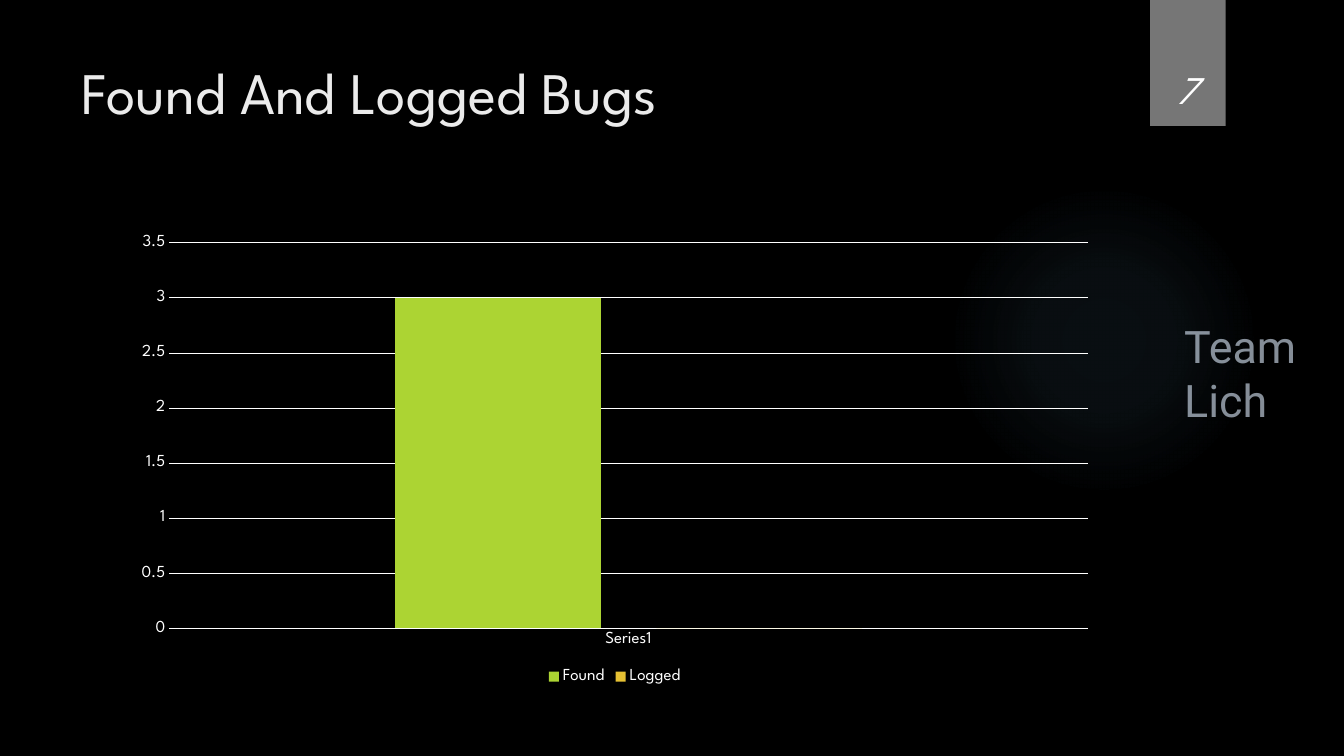
from lxml import etree
from pptx import Presentation
from pptx import util as u
from pptx.chart import data
from pptx.dml import color
from pptx.enum import chart as ch, shapes, text
from pptx.oxml import ns, parse_xml

HEADING_FONT = "League Spartan"
WHITE = "FFFFFF"


def rgb(hex_string):
    return color.RGBColor.from_string(hex_string)


def points(box):
    return [u.Pt(length) for length in box]


def style_font(font, size, hex_string, name=HEADING_FONT):
    font.size = u.Pt(size)
    font.name = name
    font.color.rgb = rgb(hex_string)


def set_line(line, hex_string):
    line.color.rgb = rgb(hex_string)
    line.width = u.Pt(0.75)


def add_plain_shape(slide, kind, box):
    shape = slide.shapes.add_shape(kind, *points(box))
    shape.shadow.inherit = False
    shape.line.fill.background()
    return shape


def add_text(slide, box, words, size, hex_string, name=HEADING_FONT,
             anchor=text.MSO_ANCHOR.BOTTOM, align=text.PP_ALIGN.LEFT):
    frame = slide.shapes.add_textbox(*points(box)).text_frame
    frame.word_wrap = True
    frame.vertical_anchor = anchor
    frame.text = words
    paragraph = frame.paragraphs[0]
    paragraph.alignment = align
    run = paragraph.runs[0]
    style_font(run.font, size, hex_string, name)
    return run


def add_glow(slide, box):
    shape = add_plain_shape(slide, shapes.MSO_SHAPE.OVAL, box)
    stops = "".join(
        f'<a:gs pos="{position * 1000}"><a:srgbClr val="7AC4F0">'
        f'<a:alpha val="{alpha * 1000}"/></a:srgbClr></a:gs>'
        for position, alpha in [(0, 7), (36, 6), (69, 0)])
    gradient = parse_xml(
        f'<a:gradFill {ns.nsdecls("a")}><a:gsLst>{stops}</a:gsLst><a:path path="circle">'
        '<a:fillToRect l="50000" t="50000" r="50000" b="50000"/></a:path></a:gradFill>')
    shape.element.spPr.find(ns.qn("a:prstGeom")).addnext(gradient)


def add_page_tab(slide, box):
    left, top, width, height = box
    tab = add_plain_shape(slide, shapes.MSO_SHAPE.RECTANGLE, box)
    tab.fill.solid()
    tab.fill.fore_color.rgb = rgb("767676")
    number = add_text(slide, (left - 6.5, top + 23, width + 12.5, height - 29.5),
                      "7", 28, WHITE, align=text.PP_ALIGN.CENTER)
    number.font.italic = True


def add_team_name(slide, box):
    run = add_text(slide, box, "Team Lich", 32, "DEECFD", "Roboto")
    tint = run.font.fill._xPr.find(".//" + ns.qn("a:srgbClr"))
    etree.SubElement(tint, ns.qn("a:alpha")).set("val", "60000")


def add_bug_chart(slide, box):
    chart_data = data.CategoryChartData()
    chart_data.categories = ["Series1"]
    chart_data.add_series("Found", [3])
    chart_data.add_series("Logged", [0])
    chart = slide.shapes.add_chart(
        ch.XL_CHART_TYPE.COLUMN_CLUSTERED, *points(box), chart_data).chart
    style_font(chart.font, 12, WHITE)
    chart.has_title = False
    chart.has_legend = True
    chart.legend.position = ch.XL_LEGEND_POSITION.BOTTOM
    chart.legend.include_in_layout = False
    style_font(chart.legend.font, 12, WHITE)

    plot = chart.plots[0]
    plot.vary_by_categories = False
    plot.gap_width = 219
    plot.overlap = -27
    for series, hex_string in zip(plot.series, ["ACD433", "E6C133"]):
        series.format.fill.solid()
        series.format.fill.fore_color.rgb = rgb(hex_string)

    for axis in (chart.category_axis, chart.value_axis):
        axis.major_tick_mark = axis.minor_tick_mark = ch.XL_TICK_MARK.NONE
        style_font(axis.tick_labels.font, 12, WHITE)
    set_line(chart.category_axis.format.line, WHITE)
    value_axis = chart.value_axis
    value_axis.minimum_scale = 0
    value_axis.maximum_scale = 3.5
    value_axis.major_unit = 0.5
    value_axis.format.line.fill.background()
    set_line(value_axis.major_gridlines.format.line, WHITE)


def build_bug_slide(presentation):
    slide = presentation.slides.add_slide(presentation.slide_layouts[6])
    slide.background.fill.solid()
    slide.background.fill.fore_color.rgb = rgb("000000")
    add_glow(slide, (677.5, 131.8, 221.8, 221.8))
    add_bug_chart(slide, (87, 161.3, 704, 330.5))
    add_text(slide, (51, 36, 741, 110), "Found And Logged Bugs", 42, "EBEBEB",
             anchor=text.MSO_ANCHOR.TOP)
    add_team_name(slide, (838.8, 269.3, 123, 38.9))
    add_page_tab(slide, (821.5, 0, 54, 90))


def main():
    presentation = Presentation()
    presentation.slide_width = u.Pt(960)
    presentation.slide_height = u.Pt(540)
    build_bug_slide(presentation)
    presentation.save("out.pptx")


if __name__ == "__main__":
    main()
